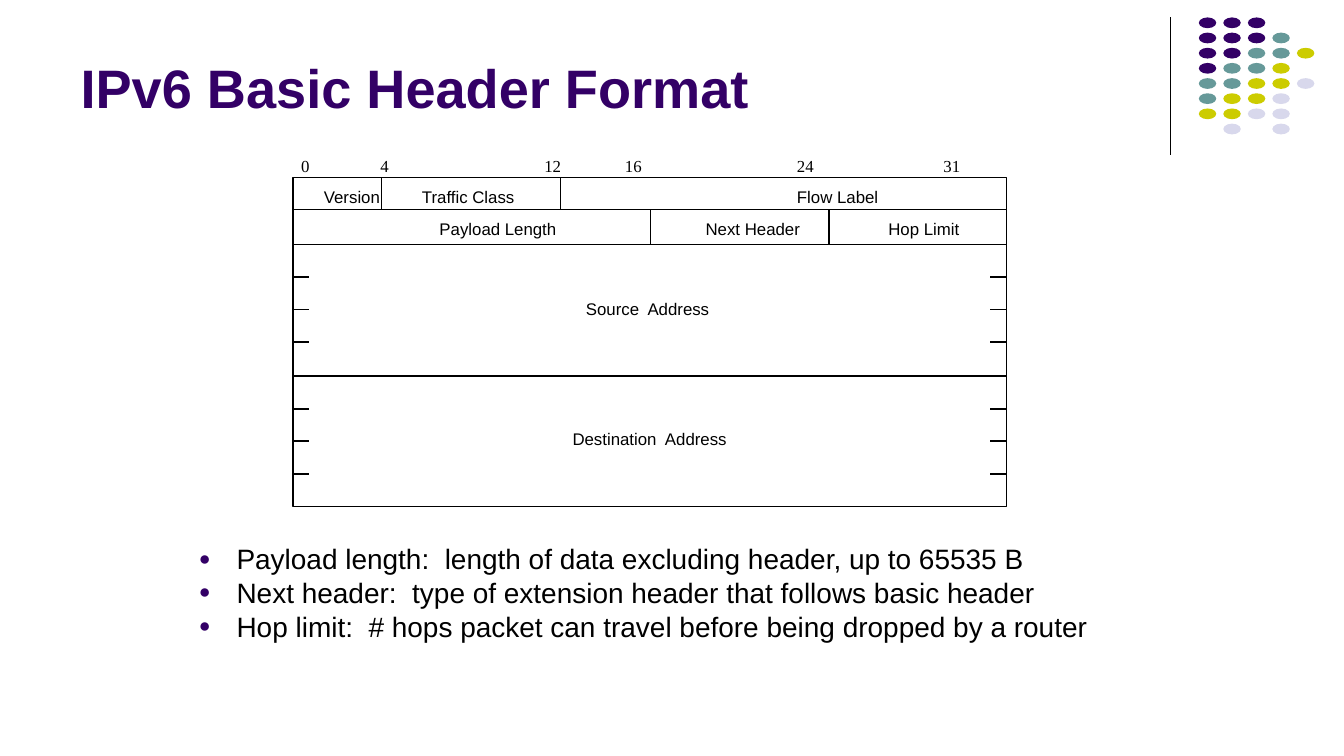
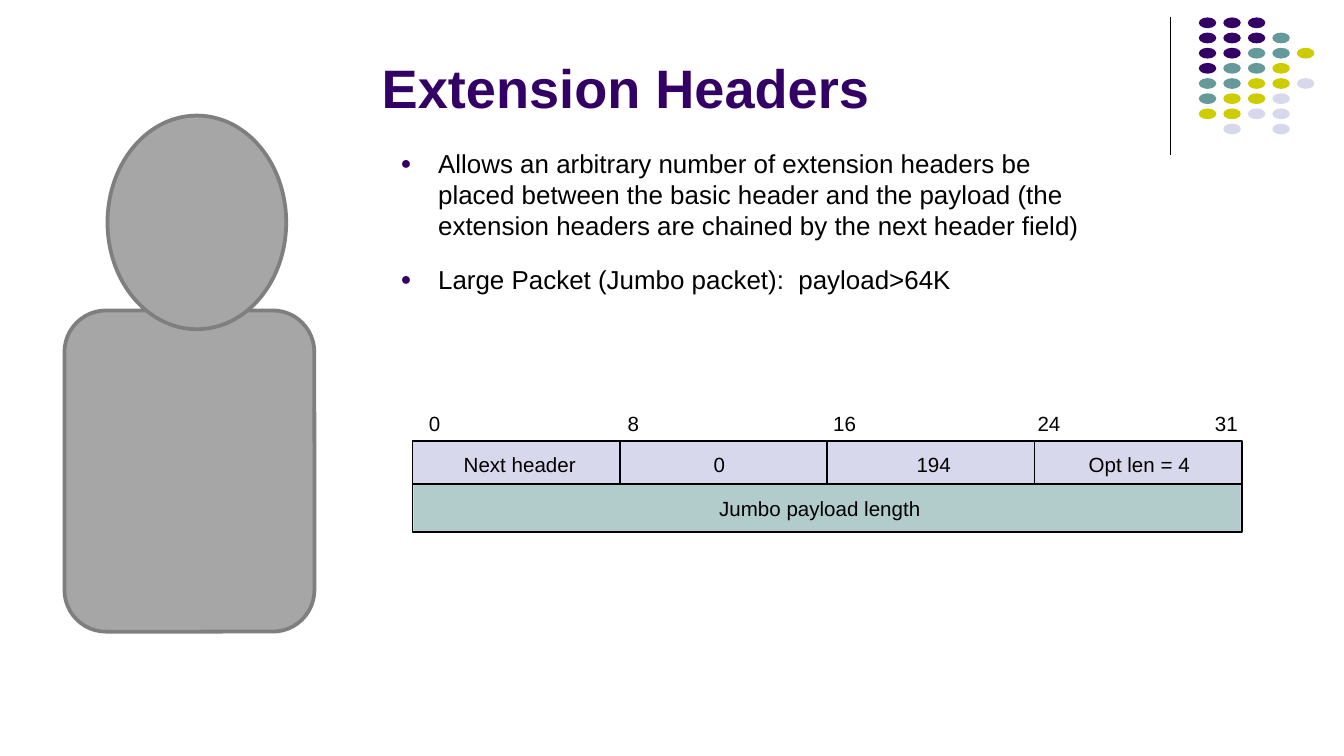
from dataclasses import dataclass
from typing import Optional

from lxml import etree
from pptx import Presentation
from pptx.dml.color import RGBColor
from pptx.enum.shapes import MSO_CONNECTOR, MSO_SHAPE
from pptx.enum.text import MSO_ANCHOR, MSO_AUTO_SIZE, PP_ALIGN
from pptx.oxml.ns import qn
from pptx.shapes.autoshape import Shape
from pptx.shapes.connector import Connector
from pptx.slide import Slide
from pptx.util import Inches, Pt

STRAIGHT = MSO_CONNECTOR.STRAIGHT
RECTANGLE = MSO_SHAPE.RECTANGLE
ROUNDED = MSO_SHAPE.ROUNDED_RECTANGLE
ELLIPSE = MSO_SHAPE.OVAL
LEFT = PP_ALIGN.LEFT
BOTTOM = MSO_ANCHOR.BOTTOM
TOP = MSO_ANCHOR.TOP
NO_AUTOFIT = MSO_AUTO_SIZE.NONE
TOP_SIDE, LEFT_SIDE, RIGHT_SIDE = 0, 1, 3


@dataclass(frozen=True)
class Theme:
    purple: str = "330066"
    teal: str = "669999"
    olive: str = "CCCC00"
    lavender: str = "D8D8EC"
    pale_teal: str = "B1CCCB"
    black: str = "000000"
    grey: str = "A6A6A6"
    dark_grey: str = "7F7F7F"
    font: str = "Arial"
    bit_font: str = "Times New Roman"
    title_size: float = 29
    basic_list_size: float = 15
    extension_list_size: float = 13.9
    header_size: float = 9
    option_size: float = 11
    char_width: float = 0.01


@dataclass(frozen=True)
class Box:
    left: float
    top: float
    width: float
    height: float

    @property
    def right(self) -> float:
        return self.left + self.width

    @property
    def middle(self) -> float:
        return self.top + self.height / 2

    @property
    def lengths(self) -> tuple:
        return tuple(Inches(v) for v in (self.left, self.top, self.width, self.height))


@dataclass(frozen=True)
class LabelRow:
    top: float
    labels: tuple
    size: float
    font: str


@dataclass(frozen=True)
class Bullets:
    box: Box
    items: tuple
    size: float
    gap: float
    spacing: float


THEME = Theme()
DOT_COLOURS = {"P": THEME.purple, "T": THEME.teal, "O": THEME.olive, "L": THEME.lavender}
DOT_ROWS = ("PPP", "PPPT", "PPTTO", "PTTO", "TTOOL", "TOOL", "OOLL", " L L")
DOT_COLUMN_STEP = (9.65 - 8.92) / 4
DOT_ROW_STEP = (0.92 - 0.13) / 7


def set_font(paragraph, size: float, colour: str, name: str, bold: bool = False) -> None:
    font = paragraph.font
    font.size = Pt(size)
    font.name = name
    font.bold = bold
    font.color.rgb = RGBColor.from_string(colour)


def draw_shape(slide: Slide, kind, box: Box, fill: Optional[str] = None,
               line: Optional[str] = None, weight: float = 1) -> Shape:
    shape = slide.shapes.add_shape(kind, *box.lengths)
    shape.shadow.inherit = False
    if fill:
        shape.fill.solid()
        shape.fill.fore_color.rgb = RGBColor.from_string(fill)
    else:
        shape.fill.background()
    if line:
        shape.line.color.rgb = RGBColor.from_string(line)
        shape.line.width = Pt(weight)
    else:
        shape.line.fill.background()
    return shape


def draw_line(slide: Slide, x1: float, y1: float, x2: float, y2: float,
              weight: float) -> Connector:
    line = slide.shapes.add_connector(STRAIGHT, Inches(x1), Inches(y1), Inches(x2), Inches(y2))
    line.line.color.rgb = RGBColor.from_string(THEME.black)
    line.line.width = Pt(weight)
    etree.SubElement(line._element.spPr, qn("a:effectLst"))
    return line


def draw_labels(slide: Slide, row: LabelRow) -> None:
    for left, text in row.labels:
        width = (len(text) + 1) * row.size * THEME.char_width
        box = Box(left, row.top, width, row.size / 60)
        frame = slide.shapes.add_textbox(*box.lengths).text_frame
        frame.margin_left = frame.margin_right = frame.margin_top = frame.margin_bottom = 0
        frame.word_wrap = True
        paragraph = frame.paragraphs[0]
        paragraph.text = text
        set_font(paragraph, row.size, THEME.black, row.font)


def place(placeholder, box: Box, anchor) -> None:
    placeholder.left, placeholder.top, placeholder.width, placeholder.height = box.lengths
    placeholder.text_frame.auto_size = NO_AUTOFIT
    placeholder.text_frame.word_wrap = True
    placeholder.text_frame.vertical_anchor = anchor


def add_bullet(paragraph) -> None:
    properties = paragraph._p.get_or_add_pPr()
    properties.set("marL", str(Inches(0.28)))
    properties.set("indent", str(-Inches(0.28)))
    colour = etree.SubElement(properties, qn("a:buClr"))
    etree.SubElement(colour, qn("a:srgbClr"), val=THEME.purple)
    etree.SubElement(properties, qn("a:buSzPct"), val="70000")
    etree.SubElement(properties, qn("a:buChar"), char="●")


def fill_bullets(slide: Slide, bullets: Bullets) -> None:
    body = slide.placeholders[1]
    place(body, bullets.box, TOP)
    frame = body.text_frame
    for index, item in enumerate(bullets.items):
        paragraph = frame.add_paragraph() if index else frame.paragraphs[0]
        paragraph.text = item
        add_bullet(paragraph)
        paragraph.alignment = LEFT
        paragraph.line_spacing = bullets.spacing
        paragraph.space_before = Pt(bullets.gap if index else 0)
        set_font(paragraph, bullets.size, THEME.black, THEME.font)


def draw_corner(slide: Slide) -> None:
    draw_line(slide, 8.71, 0.13, 8.71, 1.15, 0.75)
    for row, dots in enumerate(DOT_ROWS):
        for column, dot in enumerate(dots):
            if dot in DOT_COLOURS:
                box = Box(8.92 + column * DOT_COLUMN_STEP, 0.13 + row * DOT_ROW_STEP, 0.13, 0.08)
                draw_shape(slide, ELLIPSE, box, DOT_COLOURS[dot])


def start_slide(deck, title: str, title_box: Box, bullets: Bullets) -> Slide:
    slide = deck.slides.add_slide(deck.slide_layouts[1])
    draw_corner(slide)
    place(slide.shapes.title, title_box, BOTTOM)
    paragraph = slide.shapes.title.text_frame.paragraphs[0]
    paragraph.text = title
    paragraph.alignment = LEFT
    set_font(paragraph, THEME.title_size, THEME.purple, THEME.font, bold=True)
    fill_bullets(slide, bullets)
    return slide


def build_basic_header(deck) -> None:
    bullets = Bullets(Box(1.38, 4.03, 7.11, 0.87), (
        "Payload length:  length of data excluding header, up to 65535 B",
        "Next header:  type of extension header that follows basic header",
        "Hop limit:  # hops packet can travel before being dropped by a router",
    ), size=THEME.basic_list_size, gap=3.7, spacing=0.8)
    slide = start_slide(deck, "IPv6 Basic Header Format", Box(0.5, 0.1, 8.25, 0.84), bullets)

    weight = 0.88
    header = Box(2.18, 1.32, 5.31, 2.45)
    frame = draw_shape(slide, RECTANGLE, header, line=THEME.black, weight=weight)
    payload_top, source_top, destination_top = 1.56, 1.82, 2.8
    for y in (payload_top, source_top, destination_top):
        draw_line(slide, header.left, y, header.right, y, weight)
    for x in (2.84, 4.17):
        draw_line(slide, x, payload_top, x, header.top, weight)
    for x in (4.84, 6.17):
        draw_line(slide, x, source_top, x, payload_top, weight)

    tick = 0.12
    word_height = (header.middle - source_top) / 3
    for address_top in (source_top, destination_top):
        for word in (1, 2, 3):
            y = address_top + word * word_height
            left_tick = draw_line(slide, header.left, y, header.left + tick, y, weight)
            right_tick = draw_line(slide, header.right - tick, y, header.right, y, weight)
            if address_top == source_top and word == 3:
                left_tick.begin_connect(frame, LEFT_SIDE)
                right_tick.end_connect(frame, RIGHT_SIDE)

    bits = ((2.24, "0"), (2.83, "4"), (4.05, "12"), (4.65, "16"), (5.93, "24"), (7.02, "31"))
    draw_labels(slide, LabelRow(1.16, bits, THEME.header_size, THEME.bit_font))
    for top, fields in (
        (1.39, ((2.41, "Version"), (3.14, "Traffic Class"), (5.93, "Flow Label"))),
        (1.63, ((3.27, "Payload Length"), (5.25, "Next Header"), (6.61, "Hop Limit"))),
        (2.22, ((4.36, "Source  Address"),)),
        (3.19, ((4.26, "Destination  Address"),)),
    ):
        draw_labels(slide, LabelRow(top, fields, THEME.header_size, THEME.font))


def build_extension_headers(deck) -> None:
    bullets = Bullets(Box(2.88, 1.05, 5.4, 1.39), (
        "Allows an arbitrary number of extension headers be placed between the basic header "
        "and the payload (the extension headers are chained by the next header field)",
        "Large Packet (Jumbo packet):  payload>64K",
    ), size=THEME.extension_list_size, gap=12, spacing=1.0)
    slide = start_slide(deck, "Extension Headers", Box(2.74, 0.1, 6.01, 0.84), bullets)

    option = Box(3.07, 3.28, 6.17, 0.68)
    payload = Box(3.08, 3.6, 6.15, 0.35)
    frame = draw_shape(slide, RECTANGLE, option, THEME.lavender, THEME.black)
    band = draw_shape(slide, RECTANGLE, payload, THEME.pale_teal)
    draw_line(slide, option.left, payload.top, option.right, payload.top, 1)
    for field in (1, 2, 3):
        x = option.left + field * option.width / 4
        divider = draw_line(slide, x, option.top, x, payload.top, 1)
        if field == 2:
            divider.begin_connect(frame, TOP_SIDE)
            divider.end_connect(band, TOP_SIDE)

    for top, labels in (
        (3.06, ((3.19, "0"), (4.67, "8"), (6.2, "16"), (7.72, "24"), (9.04, "31"))),
        (3.36, ((3.45, "Next header"), (5.31, "0"), (6.82, "194"), (8.1, "Opt len = 4"))),
        (3.69, ((5.35, "Jumbo payload length"),)),
    ):
        draw_labels(slide, LabelRow(top, labels, THEME.option_size, THEME.font))

    for kind, box in ((ROUNDED, Box(0.48, 2.31, 1.86, 2.39)), (ELLIPSE, Box(0.8, 0.86, 1.33, 1.59))):
        draw_shape(slide, kind, box, THEME.grey, THEME.dark_grey, 2)


def main() -> None:
    deck = Presentation()
    deck.slide_width = Inches(10)
    deck.slide_height = deck.slide_width * 9 // 16
    build_basic_header(deck)
    build_extension_headers(deck)
    deck.save("out.pptx")


if __name__ == "__main__":
    main()
